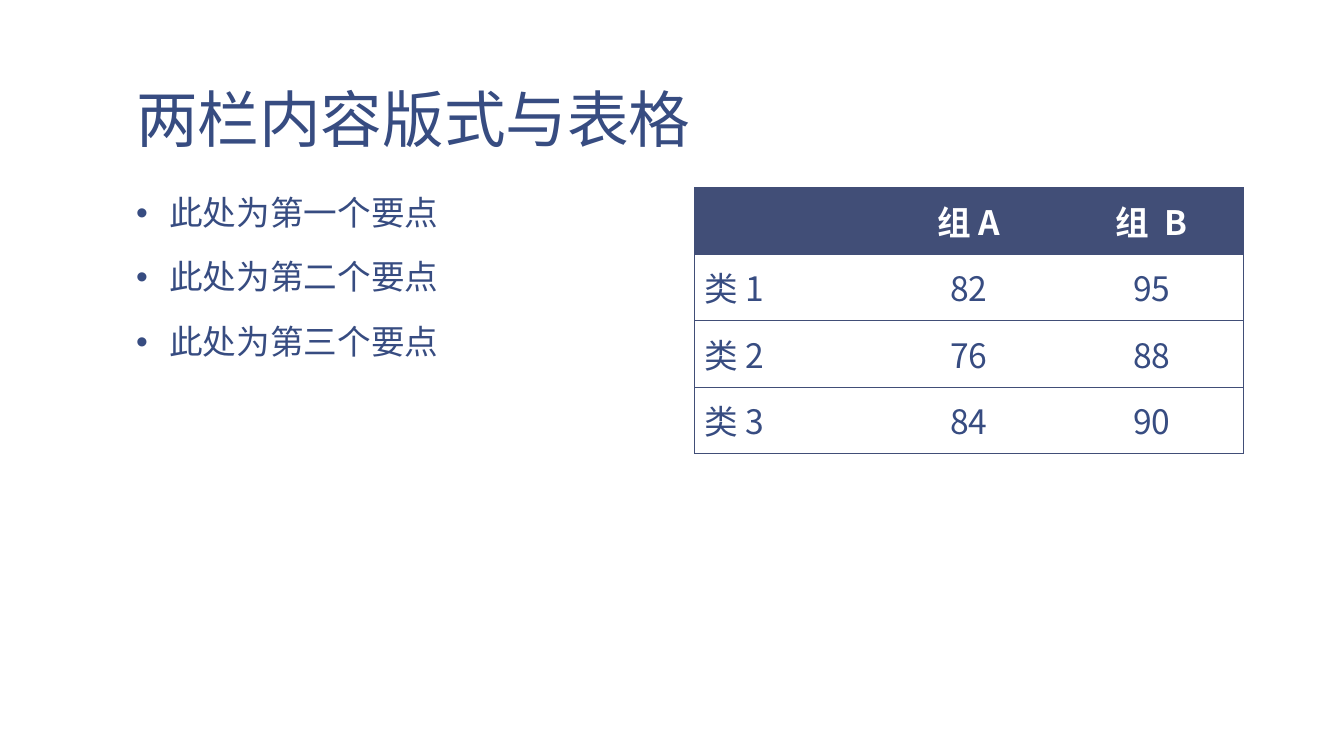
from lxml import etree
from pptx import Presentation
from pptx.dml.color import RGBColor
from pptx.enum.text import MSO_ANCHOR, MSO_AUTO_SIZE, PP_ALIGN
from pptx.oxml.ns import qn
from pptx.util import Inches, Pt

BOTTOM, TOP, MIDDLE = MSO_ANCHOR.BOTTOM, MSO_ANCHOR.TOP, MSO_ANCHOR.MIDDLE
LEFT, CENTER = PP_ALIGN.LEFT, PP_ALIGN.CENTER
NO_FIT = MSO_AUTO_SIZE.NONE

# Content
TITLE = "两栏内容版式与表格"
POINTS = ["此处为第一个要点", "此处为第二个要点", "此处为第三个要点"]
ROWS = [
    ("", "组 A", "组  B"),
    ("类 1", "82", "95"),
    ("类 2", "76", "88"),
    ("类 3", "84", "90"),
]

# Look
FONT = "Noto Sans CJK SC"
COLORS = {"text": "374C81", "head": "414E77", "white": "FFFFFF"}
MARGIN, TOP_Y, COL_W, GAP = 1.22, 1.86, 5.44, 0.23
ROW_H = 0.66
INSETS = {
    "margin_left": Inches(0.13), "margin_right": Inches(0.13),
    "margin_top": Inches(0.07), "margin_bottom": Inches(0.07),
    "word_wrap": True, "auto_size": NO_FIT,
}
TITLE_PARA = {"alignment": LEFT, "line_spacing": 0.85, "space_before": Pt(0)}
POINT_PARA = {"alignment": LEFT, "line_spacing": 0.95, "space_before": Pt(18.7)}


def apply(part, values):
    for name, value in values.items():
        setattr(part, name, value)


def place(shape, left, top, width, height):
    apply(shape, {"left": Inches(left), "top": Inches(top),
                  "width": Inches(width), "height": Inches(height)})


def write(para, text, size, color, bold=False):
    run = para.add_run()
    run.text = text
    apply(run.font, {"name": FONT, "size": Pt(size), "bold": bold})
    run.font.color.rgb = RGBColor.from_string(COLORS[color])
    east = etree.SubElement(run.font._element, qn("a:ea"))
    east.set("typeface", FONT)


def bullet(para):
    props = para._p.get_or_add_pPr()
    props.set("marL", str(Inches(0.33)))
    props.set("indent", str(-Inches(0.33)))
    etree.SubElement(props, qn("a:buChar")).set("char", "•")


def border(cell, sides):
    """Draw the named sides and clear the rest."""
    props = cell._tc.get_or_add_tcPr()
    for index, side in enumerate("LRTB"):
        line = etree.Element(qn("a:ln" + side), w=str(Pt(0.5)))
        if side in sides:
            fill = etree.SubElement(line, qn("a:solidFill"))
            etree.SubElement(fill, qn("a:srgbClr")).set("val", COLORS["head"])
        else:
            etree.SubElement(line, qn("a:noFill"))
        props.insert(index, line)


# Slide
deck = Presentation()
deck.slide_width, deck.slide_height = Inches(13.33), Inches(7.5)
slide = deck.slides.add_slide(deck.slide_layouts[1])
title, body = slide.shapes.title, slide.placeholders[1]

# Title
place(title, MARGIN, 0.08, 2 * COL_W + GAP, 1.53)
apply(title.text_frame, {**INSETS, "vertical_anchor": BOTTOM})
para = title.text_frame.paragraphs[0]
apply(para, TITLE_PARA)
write(para, TITLE, 44, "text")

# Bullet list
place(body, MARGIN, TOP_Y, COL_W, 4.89)
frame = body.text_frame
apply(frame, {**INSETS, "vertical_anchor": TOP})
for index, point in enumerate(POINTS):
    para = frame.add_paragraph() if index else frame.paragraphs[0]
    apply(para, POINT_PARA)
    bullet(para)
    write(para, point, 24, "text")

# Table
count = len(ROWS[0])
table = slide.shapes.add_table(
    len(ROWS), count, Inches(MARGIN + COL_W + GAP), Inches(TOP_Y),
    Inches(COL_W), Inches(ROW_H * len(ROWS))).table
table.horz_banding = False
for r, row in enumerate(ROWS):
    for c, text in enumerate(row):
        cell = table.cell(r, c)
        cell.vertical_anchor = MIDDLE
        if r == 0:
            cell.fill.solid()
            cell.fill.fore_color.rgb = RGBColor.from_string(COLORS["head"])
        else:
            cell.fill.background()
        sides = "TB" + ("L" if c == 0 else "") + ("R" if c == count - 1 else "")
        border(cell, sides)
        para = cell.text_frame.paragraphs[0]
        para.alignment = CENTER if c else LEFT
        if text:
            write(para, text, 24, "text" if r else "white", bold=r == 0)

deck.save("out.pptx")
